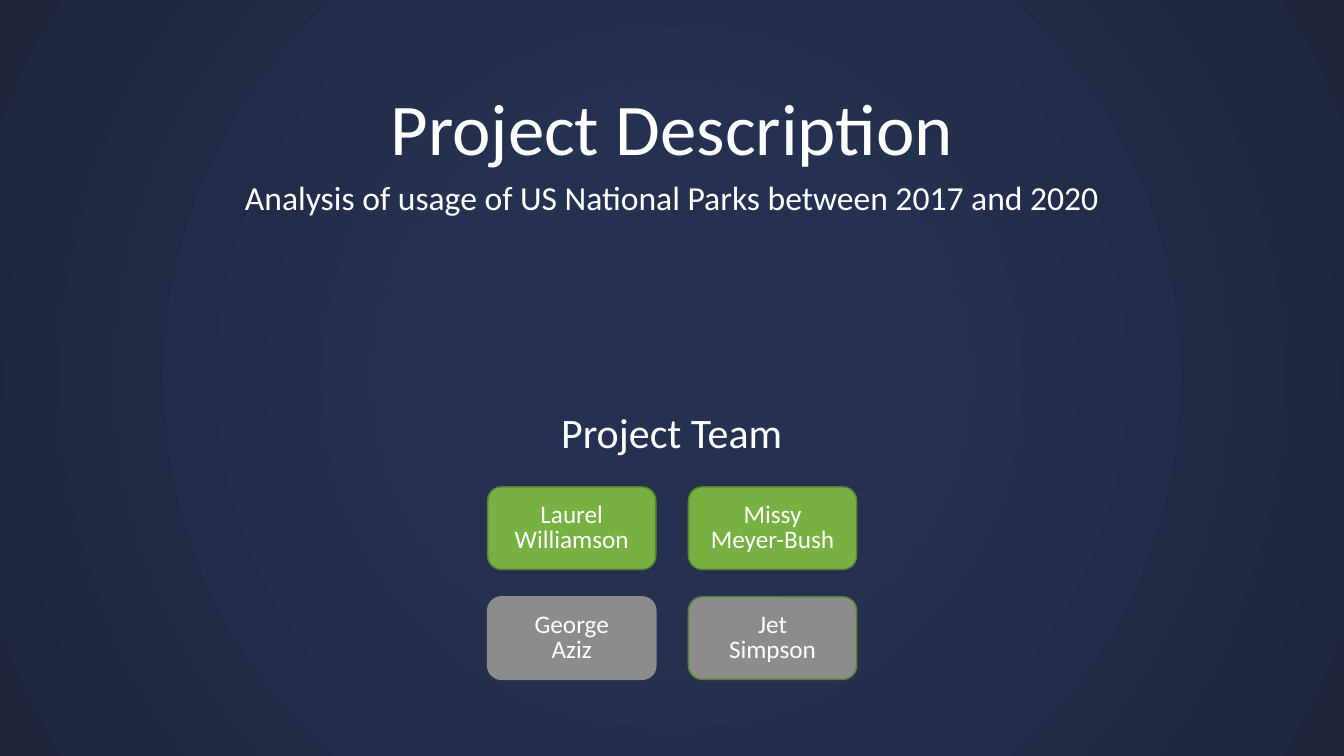
"""Build the project description slide with its team cards."""
from dataclasses import dataclass

from lxml import etree
from pptx import Presentation
from pptx.dml.color import RGBColor
from pptx.enum.shapes import MSO_SHAPE
from pptx.enum.text import MSO_ANCHOR, PP_ALIGN
from pptx.oxml.ns import qn
from pptx.util import Cm, Pt

ROUNDED = MSO_SHAPE.ROUNDED_RECTANGLE
TOP, MIDDLE, BOTTOM = MSO_ANCHOR.TOP, MSO_ANCHOR.MIDDLE, MSO_ANCHOR.BOTTOM
CENTER = PP_ALIGN.CENTER
BLANK_LAYOUT = 6


@dataclass(frozen=True)
class Theme:
    """Colours, font and type sizes of the slide."""
    font: str = "Calibri"
    text: str = "FFFFFF"
    glow: str = "263050"
    edge: str = "1D243C"
    green: str = "77B142"
    dark_green: str = "588331"
    grey: str = "8C8C8C"
    title: int = 52
    subtitle: int = 24
    heading: int = 30
    member: int = 18


THEME = Theme()
HEADING_LEFT, HEADING_WIDTH = 4.23, 25.4
CARD_WIDTH, CARD_HEIGHT = 4.24, 2.08
GRID_LEFT, GRID_TOP = 12.29, 12.27
COLUMN_STEP, ROW_STEP = 5.06, 2.77
TEAM = (
    (
        (["Laurel Williamson"], THEME.green, THEME.dark_green),
        (["Missy", "Meyer-Bush"], THEME.green, THEME.dark_green),
    ),
    (
        (["George", "Aziz"], THEME.grey, THEME.grey),
        (["Jet", "Simpson"], THEME.grey, THEME.dark_green),
    ),
)


def rgb(value):
    """Turn a hex string into a colour."""
    return RGBColor.from_string(value)


def paint_background(slide):
    """Fill the background with a circular gradient from the centre."""
    fill = slide.background.fill
    fill.gradient()
    colours = ((0.32, THEME.glow), (1, THEME.edge))
    for stop, (position, colour) in zip(fill.gradient_stops, colours):
        stop.position = position
        stop.color.rgb = rgb(colour)
    gradient = next(slide.element.iter(qn("a:gradFill")))
    gradient.remove(gradient.find(qn("a:lin")))
    circle = etree.SubElement(gradient, qn("a:path"), path="circle")
    center = dict.fromkeys("ltrb", "50000")
    etree.SubElement(circle, qn("a:fillToRect"), center)


def write_lines(frame, lines, size, spacing, anchor):
    """Write centred lines, one paragraph each."""
    frame.word_wrap = True
    frame.vertical_anchor = anchor
    for index, line in enumerate(lines):
        paragraph = frame.add_paragraph() if index else frame.paragraphs[0]
        paragraph.alignment = CENTER
        paragraph.line_spacing = spacing
        run = paragraph.add_run()
        run.text = line
        run.font.name = THEME.font
        run.font.size = Pt(size)
        run.font.color.rgb = rgb(THEME.text)


def add_heading(slide, text, top, height, size, anchor=BOTTOM):
    """Add a centred heading across the slide."""
    heading = slide.shapes.add_textbox(
        Cm(HEADING_LEFT), Cm(top), Cm(HEADING_WIDTH), Cm(height))
    write_lines(heading.text_frame, [text], size, 0.9, anchor)


def add_member_card(slide, row, column, name_lines, fill, outline):
    """Add a team member's card at its place in the grid."""
    card = slide.shapes.add_shape(
        ROUNDED,
        Cm(GRID_LEFT + column * COLUMN_STEP), Cm(GRID_TOP + row * ROW_STEP),
        Cm(CARD_WIDTH), Cm(CARD_HEIGHT))
    card.shadow.inherit = False
    card.fill.solid()
    card.fill.fore_color.rgb = rgb(fill)
    card.line.color.rgb = rgb(outline)
    card.line.width = Pt(1)
    write_lines(card.text_frame, name_lines, THEME.member,
                Pt(THEME.member), MIDDLE)


def main():
    """Build and save the slide."""
    deck = Presentation()
    deck.slide_width, deck.slide_height = Cm(33.87), Cm(19.05)
    slide = deck.slides.add_slide(deck.slide_layouts[BLANK_LAYOUT])
    paint_background(slide)
    add_heading(slide, "Project Description", 1.48, 2.96, THEME.title)
    add_heading(
        slide, "Analysis of usage of US National Parks between 2017 and 2020",
        4.44, 3.18, THEME.subtitle, TOP)
    add_heading(slide, "Project Team", 8.69, 2.96, THEME.heading)
    for row, members in enumerate(TEAM):
        for column, member in enumerate(members):
            add_member_card(slide, row, column, *member)
    deck.save("out.pptx")


if __name__ == "__main__":
    main()
